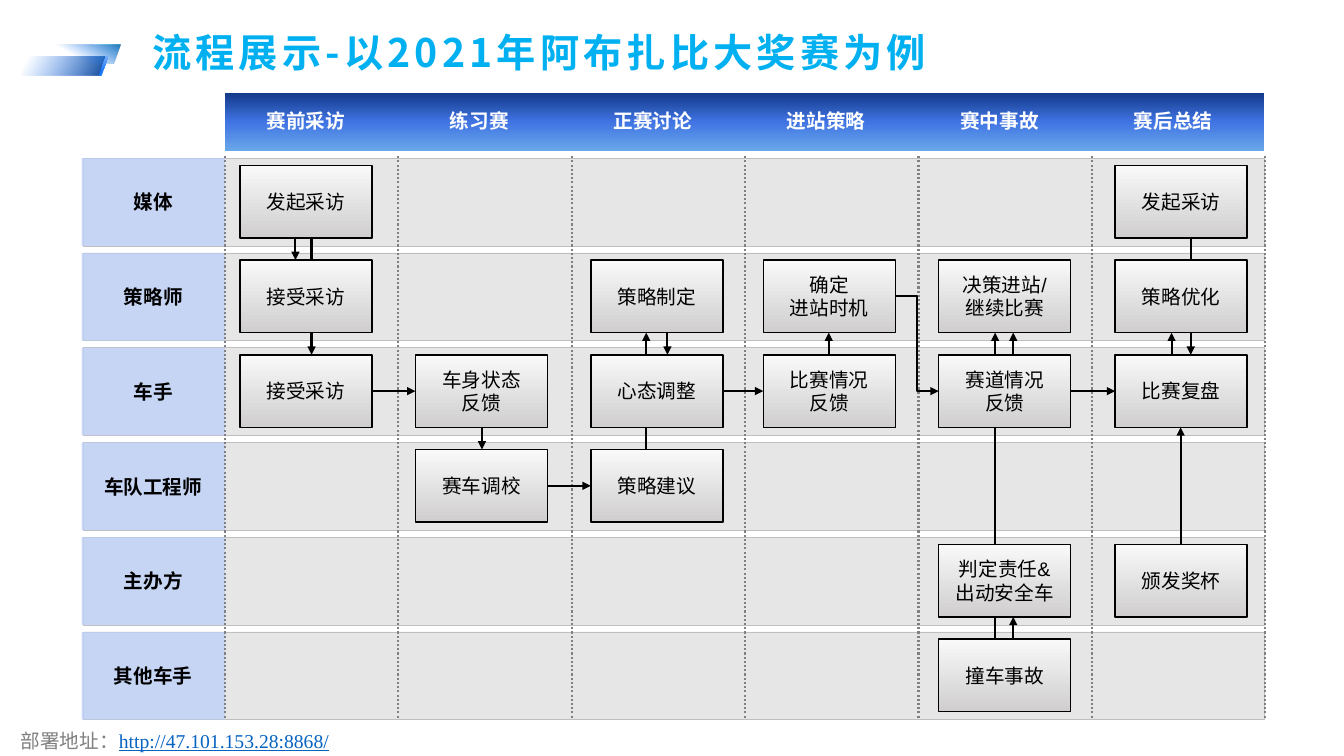
from dataclasses import dataclass

from lxml import etree
from pptx import Presentation
from pptx import util as u
from pptx.dml.color import RGBColor
from pptx.enum import dml, shapes, text
from pptx.oxml import parse_xml
from pptx.oxml.ns import nsdecls, qn

PX = 9144


@dataclass(frozen=True)
class Theme:
    """Colours, fonts and type sizes of the slide."""
    title: str = "00B0F0"
    white: str = "FFFFFF"
    ink: str = "000000"
    grey: str = "808080"
    link: str = "0563C1"
    lane: str = "BFBFBF"
    label: str = "BCD0FA"
    header: tuple = ((0, "133988", 100), (50, "4074E3", 100), (100, "6AA8EA", 100))
    step: tuple = ((0, "F9F9F9", 100), (100, "D0CECE", 100))
    badge: tuple = ((9, "1D78FA", 0), (100, "063F91", 100))
    badge_back: tuple = ((45, "1D78FA", 0), (100, "1A77B6", 100))
    badge_fold: tuple = ((26, "1D78FA", 100), (100, "77AEFC", 100))
    cjk: str = "Noto Sans CJK SC"
    latin: str = "Arial"
    serif: str = "Times New Roman"
    title_pt: int = 28
    body_pt: int = 14


T = Theme()
STAGES = ["赛前采访", "练习赛", "正赛讨论", "进站策略", "赛中事故", "赛后总结"]
ROLES = ["媒体", "策略师", "车手", "车队工程师", "主办方", "其他车手"]
STAGE_W, LANE_PITCH, LANE_H = 172, 94, 87
STEP_X, STEP_W, STEP_H, STEP_PAD = [15, 189, 363, 534, 708, 883], 131, 72, 7
STEPS = {
    (0, 0): "发起采访", (0, 1): "接受采访", (0, 2): "接受采访",
    (1, 2): "车身状态\n反馈", (1, 3): "赛车调校",
    (2, 1): "策略制定", (2, 2): "心态调整", (2, 3): "策略建议",
    (3, 1): "确定\n进站时机", (3, 2): "比赛情况\n反馈",
    (4, 1): "决策进站/\n继续比赛", (4, 2): "赛道情况\n反馈",
    (4, 4): "判定责任&\n出动安全车", (4, 5): "撞车事故",
    (5, 0): "发起采访", (5, 1): "策略优化", (5, 2): "比赛复盘", (5, 4): "颁发奖杯",
}
VERTICAL = [
    (0, 0, 1, 55), (0, 0, 2, 71), (1, 2, 3, 66), (2, 3, 1, 55), (2, 1, 2, 76),
    (3, 2, 1, 65), (4, 5, 1, 56), (4, 5, 4, 74), (4, 2, 1, 74),
    (5, 2, 1, 56), (5, 0, 2, 75), (5, 4, 2, 65),
]
ONWARD = [
    ((0, 2), (1, 2)), ((1, 3), (2, 3)), ((2, 2), (3, 2)),
    ((3, 1), (4, 2)), ((4, 2), (5, 2)),
]


def rgb(color):
    """Turn a hex string into a colour."""
    return RGBColor.from_string(color)


def paint(s, stops, angle):
    """Give a shape a linear gradient of (position, colour, opacity) stops."""
    marks = "".join(
        f'<a:gs pos="{pos * 1000}"><a:srgbClr val="{color}">'
        f'<a:alpha val="{alpha * 1000}"/></a:srgbClr></a:gs>'
        for pos, color, alpha in stops)
    s.fill.background()
    spPr = s._element.spPr
    spPr.replace(spPr.find(qn("a:noFill")), parse_xml(
        f'<a:gradFill {nsdecls("a")} rotWithShape="1"><a:gsLst>{marks}</a:gsLst>'
        f'<a:lin ang="{angle * 60000}" scaled="0"/></a:gradFill>'))


def tint(s, color, alpha):
    """Give a shape a translucent solid fill."""
    s.fill.solid()
    s.fill.fore_color.rgb = rgb(color)
    clr = s._element.spPr.find(qn("a:solidFill"))[0]
    etree.SubElement(clr, qn("a:alpha"), val=str(alpha * 1000))


def style(r, color, font=T.cjk, size=T.body_pt, bold=False):
    """Format one run, including its East Asian font."""
    f = r.font
    f.name, f.size, f.bold, f.color.rgb = font, u.Pt(size), bold, rgb(color)
    etree.SubElement(r._r.get_or_add_rPr(), qn("a:ea"), typeface=T.cjk)


def write(s, words, color, spacing=None, **look):
    """Put centred, formatted text into a shape."""
    tf = s.text_frame
    tf.text = words
    tf.word_wrap = True
    tf.vertical_anchor = text.MSO_ANCHOR.MIDDLE
    for p in tf.paragraphs:
        p.alignment, p.line_spacing = text.PP_ALIGN.CENTER, spacing
        for r in p.runs:
            style(r, color, **look)


def add_box(sl, x, y, w, h, line=None, width=1, kind=shapes.MSO_SHAPE.RECTANGLE):
    """Add a shadowless preset shape."""
    s = sl.shapes.add_shape(kind, x * PX, y * PX, w * PX, h * PX)
    s.shadow.inherit = False
    if line:
        s.line.color.rgb, s.line.width = rgb(line), u.Pt(width)
    else:
        s.line.fill.background()
    return s


def add_text(sl, x, y, w, h):
    """Add an empty wrapping text box."""
    s = sl.shapes.add_textbox(x * PX, y * PX, w * PX, h * PX)
    s.text_frame.word_wrap = True
    return s


def add_line(sl, x1, y1, x2, y2, color, arrow=False, kind=shapes.MSO_CONNECTOR.STRAIGHT):
    """Add a shadowless connector, with an arrowhead on request."""
    c = sl.shapes.add_connector(kind, x1 * PX, y1 * PX, x2 * PX, y2 * PX)
    etree.SubElement(c._element.spPr, qn("a:effectLst"))
    c.line.color.rgb, c.line.width = rgb(color), u.Pt(1.5)
    if arrow:
        etree.SubElement(c.line._get_or_add_ln(), qn("a:tailEnd"), type="triangle")
    return c


def badge(sl, x, y):
    """Draw the slanted ribbon beside the title."""
    for dx, dy, stops, angle in ((0, 12, T.badge, 30), (13, 0, T.badge_back, 300)):
        s = add_box(sl, x + dx, y + dy, 87, 19, kind=shapes.MSO_SHAPE.PARALLELOGRAM)
        s.adjustments[0] = 0.36
        paint(s, stops, angle)
    fold = sl.shapes.build_freeform(x + 85, y + 12, scale=PX)
    fold.add_line_segments([(x + 87, y + 12), (x + 81, y + 31), (x + 78, y + 31)])
    s = fold.convert_to_shape()
    s.shadow.inherit = False
    s.line.fill.background()
    paint(s, T.badge_fold, 270)


def title(sl, x, y, w, h):
    """Write the slide title."""
    tf = add_text(sl, x, y, w, h).text_frame
    tf.text = "流程展示-以2021年阿布扎比大奖赛为例"
    r = tf.paragraphs[0].runs[0]
    style(r, T.title, size=T.title_pt, bold=True)
    r._r.get_or_add_rPr().set("spc", "300")


def stage_header(sl, x, y, w, h):
    """Draw the bar of stage names."""
    paint(add_box(sl, x, y, w, h), T.header, 90)
    for i, name in enumerate(STAGES):
        s = add_text(sl, x + i * STAGE_W + 20, y + 5, 121, 49)
        tf = s.text_frame
        tf.margin_left = tf.margin_right = tf.margin_top = tf.margin_bottom = 0
        write(s, name, T.white, spacing=0.9, bold=True)


def lanes(sl, x, y, w, label_w):
    """Draw one lane per role and the dotted stage dividers."""
    for i, role in enumerate(ROLES):
        top = y + i * LANE_PITCH
        tint(add_box(sl, x + 2, top, w - 2, LANE_H, T.lane, 0.5), T.lane, 39)
        s = add_box(sl, x, top, label_w, LANE_H)
        tint(s, T.label, 74)
        write(s, role, T.ink, bold=True)
    for i in range(len(STAGES) + 1):
        left = x + label_w + i * STAGE_W
        c = add_line(sl, left, y + 555, left, y - 2, T.grey)
        c.line.dash_style = dml.MSO_LINE.ROUND_DOT


def flow(sl, x, y):
    """Place the steps on the lane grid and join them with arrows."""
    def top(row):
        return y + row * LANE_PITCH + STEP_PAD

    for col, start, end, dx in VERTICAL:
        down = end > start
        left = x + STEP_X[col] + dx
        add_line(sl, left, top(start) + STEP_H * down,
                 left, top(end) + STEP_H * (not down), T.ink, arrow=True)
    boxes = {}
    for (col, row), words in STEPS.items():
        s = add_box(sl, x + STEP_X[col], top(row), STEP_W, STEP_H, T.ink)
        paint(s, T.step, 90)
        write(s, words, T.ink, font=T.latin)
        boxes[col, row] = s
    for a, b in ONWARD:
        kind = shapes.MSO_CONNECTOR.STRAIGHT if a[1] == b[1] else shapes.MSO_CONNECTOR.ELBOW
        c = add_line(sl, 0, 0, 1, 1, T.ink, arrow=True, kind=kind)
        c.begin_connect(boxes[a], 3)
        c.end_connect(boxes[b], 1)


def footer(sl, x, y, w, h):
    """Write the deployment address."""
    p = add_text(sl, x, y, w, h).text_frame.paragraphs[0]
    p.alignment = text.PP_ALIGN.CENTER
    for words, color in (("部署地址：", T.grey), ("http://47.101.153.28:8868/", T.link)):
        r = p.add_run()
        r.text = words
        style(r, color, font=T.serif)
    r.font.underline = True


def main():
    """Build and save the slide."""
    prs = Presentation()
    prs.slide_width, prs.slide_height = 1333 * PX, 750 * PX
    sl = prs.slides.add_slide(prs.slide_layouts[6])
    badge(sl, 20, 44)
    title(sl, 141, 23, 945, 57)
    stage_header(sl, 223, 92, 1031, 58)
    lanes(sl, 81, 157, 1173, 142)
    flow(sl, 223, 157)
    footer(sl, 0, 718, 347, 32)
    prs.save("out.pptx")


if __name__ == "__main__":
    main()
